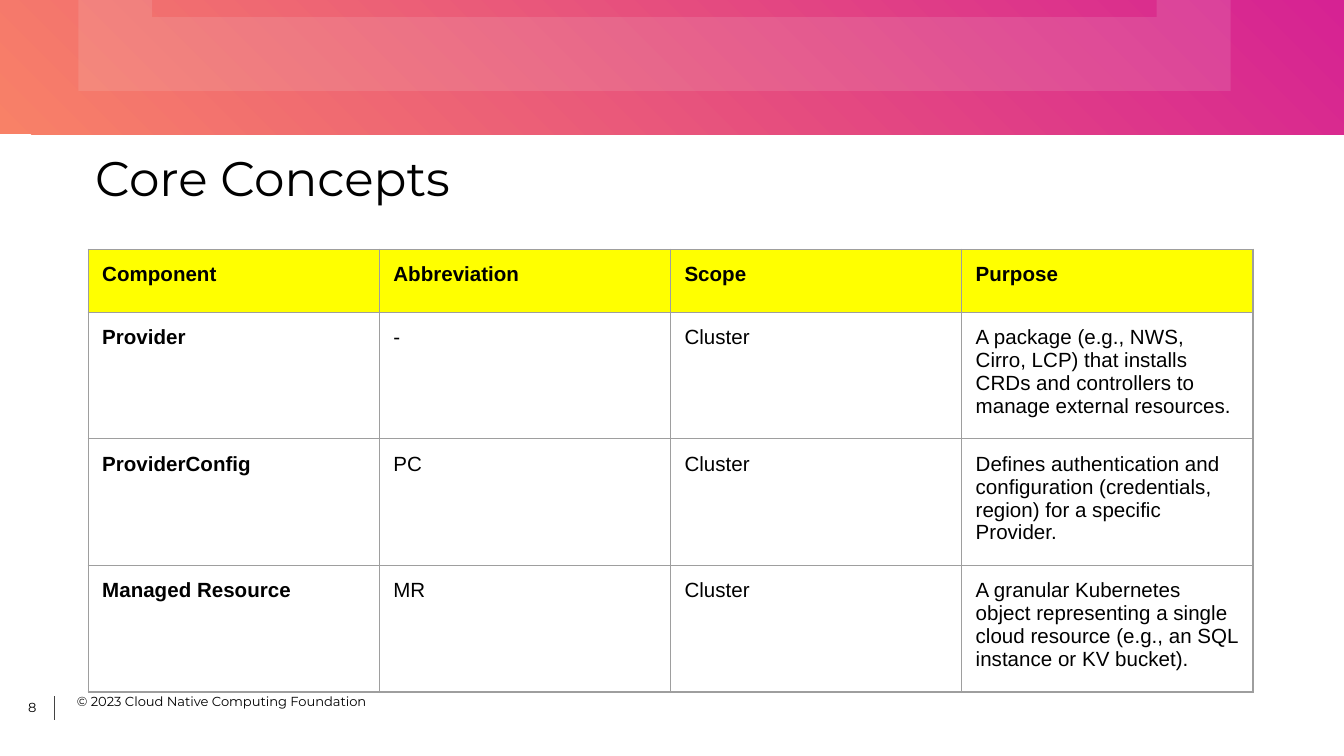
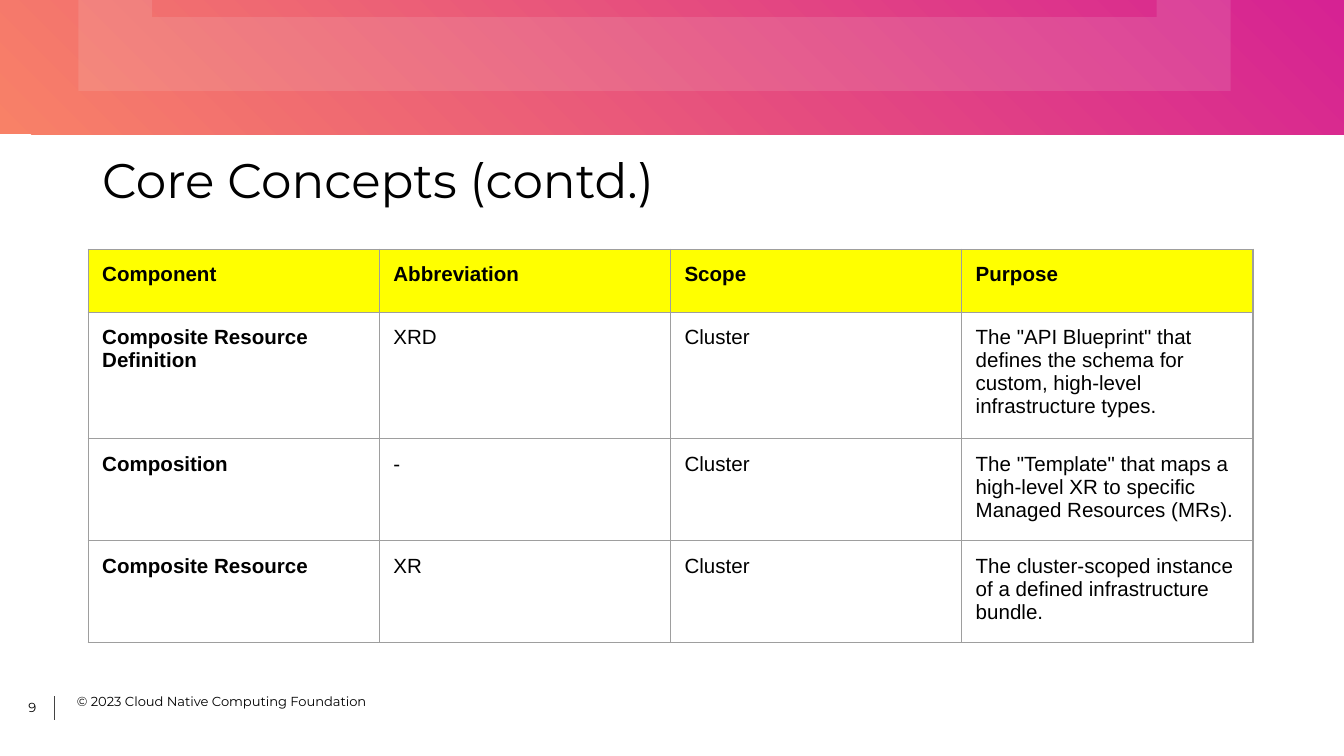
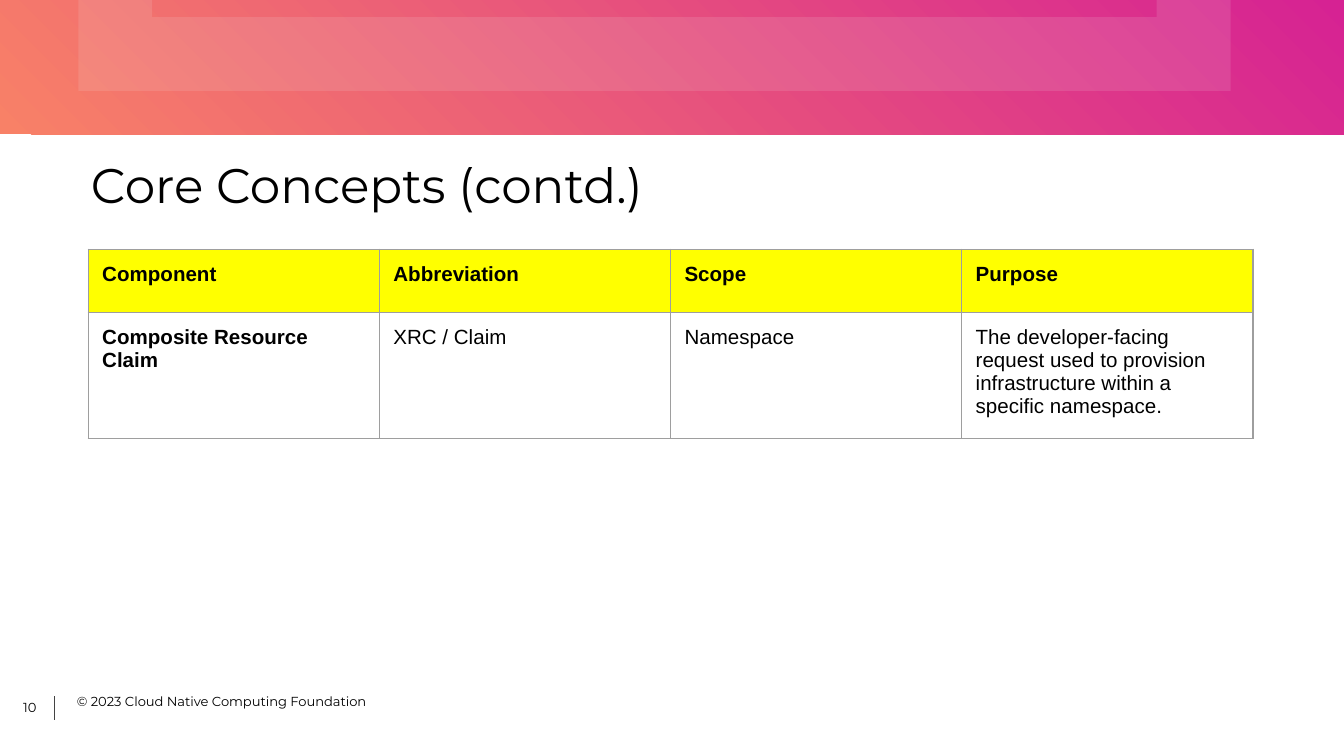
from dataclasses import dataclass

from lxml.etree import SubElement
from pptx import Presentation
from pptx.dml.color import RGBColor
from pptx.enum.shapes import MSO_CONNECTOR, MSO_SHAPE
from pptx.enum.text import MSO_ANCHOR, MSO_AUTO_SIZE, PP_ALIGN
from pptx.oxml import parse_xml
from pptx.oxml.ns import nsdecls, qn
from pptx.slide import Slide
from pptx.table import _Cell
from pptx.text.text import TextFrame
from pptx.util import Emu, Pt

EMU_PER_PX = 9525


def px(length: int) -> Emu:
    return Emu(length * EMU_PER_PX)


@dataclass(frozen=True)
class Theme:
    text: str = "000000"
    band_start: str = "D62293"
    band_end: str = "F88167"
    frame: str = "EEEEEE"
    frame_opacity: int = 13
    divider: str = "434343"
    header_fill: str = "FFFF00"
    grid: str = "9E9E9E"
    heading_font: str = "Montserrat"
    table_font: str = "Arial"
    title_size: int = 26
    table_size: int = 11
    footer_size: int = 7
    line_width: float = 0.75
    inset: int = 10


@dataclass(frozen=True)
class Box:
    left: int
    top: int
    width: int
    height: int

    def emu(self) -> tuple[Emu, Emu, Emu, Emu]:
        return px(self.left), px(self.top), px(self.width), px(self.height)


@dataclass(frozen=True)
class Concept:
    component: str
    abbreviation: str
    scope: str
    purpose: str

    def cells(self) -> tuple[str, ...]:
        return self.component, self.abbreviation, self.scope, self.purpose


@dataclass(frozen=True)
class ConceptSlide:
    number: int
    title: str
    title_left: int
    title_top: int
    concepts: tuple[Concept, ...]


THEME = Theme()
SLIDE_WIDTH, SLIDE_HEIGHT = 960, 540
BAND = Box(0, 0, SLIDE_WIDTH, 96)
BAND_FRAME = Box(56, -357, 823, 422)
COPYRIGHT = Box(45, 490, 315, 31)
PAGE_NUMBER = Box(-19, 485, 55, 41)
DIVIDER_X, DIVIDER_TOP, DIVIDER_BOTTOM = 39, 497, 514
TITLE_WIDTH, TITLE_HEIGHT = 865, 72
TABLE_LEFT, TABLE_TOP = 63, 178
COLUMN_WIDTH, HEADER_HEIGHT, ROW_HEIGHT = 208, 45, 43

HEADER = Concept("Component", "Abbreviation", "Scope", "Purpose")
SLIDES = (
    ConceptSlide(8, "Core Concepts", 58, 96, (
        Concept("Provider", "-", "Cluster",
                "A package (e.g., NWS, Cirro, LCP) that installs CRDs and "
                "controllers to manage external resources."),
        Concept("ProviderConfig", "PC", "Cluster",
                "Defines authentication and configuration (credentials, "
                "region) for a specific Provider."),
        Concept("Managed Resource", "MR", "Cluster",
                "A granular Kubernetes object representing a single cloud "
                "resource (e.g., an SQL instance or KV bucket)."),
    )),
    ConceptSlide(9, "Core Concepts (contd.)", 63, 97, (
        Concept("Composite Resource Definition", "XRD", "Cluster",
                'The "API Blueprint" that defines the schema for custom, '
                "high-level infrastructure types."),
        Concept("Composition", "-", "Cluster",
                'The "Template" that maps a high-level XR to specific '
                "Managed Resources (MRs)."),
        Concept("Composite Resource", "XR", "Cluster",
                "The cluster-scoped instance of a defined infrastructure "
                "bundle."),
    )),
    ConceptSlide(10, "Core Concepts (contd.)", 55, 101, (
        Concept("Composite Resource Claim", "XRC / Claim", "Namespace",
                "The developer-facing request used to provision "
                "infrastructure within a specific namespace."),
    )),
)


def rgb(color: str) -> RGBColor:
    return RGBColor.from_string(color)


def write(frame: TextFrame, text: str, font: str, size: int,
          bold: bool = False) -> None:
    frame.word_wrap = True
    paragraph = frame.paragraphs[0]
    paragraph.text = text
    paragraph.font.name = font
    paragraph.font.size = Pt(size)
    paragraph.font.bold = bold
    paragraph.font.color.rgb = rgb(THEME.text)


def add_text(slide: Slide, box: Box, text: str, size: int) -> TextFrame:
    frame = slide.shapes.add_textbox(*box.emu()).text_frame
    frame.margin_left = frame.margin_right = px(THEME.inset)
    frame.margin_top = frame.margin_bottom = px(THEME.inset)
    write(frame, text, THEME.heading_font, size)
    return frame


def add_band(slide: Slide) -> None:
    # Radial gradient spreading from the top right corner
    band = slide.shapes.add_shape(MSO_SHAPE.RECTANGLE, *BAND.emu())
    band.shadow.inherit = False
    band.line.fill.background()
    band.fill.gradient()
    for stop, color in zip(band.fill.gradient_stops,
                           (THEME.band_start, THEME.band_end)):
        stop.color.rgb = rgb(color)
    gradient = band.element.spPr.find(qn("a:gradFill"))
    gradient.replace(gradient.find(qn("a:lin")), parse_xml(
        f'<a:path {nsdecls("a")} path="circle">'
        '<a:fillToRect l="100000" t="0" r="0" b="100000"/></a:path>'))


def add_band_frame(slide: Slide) -> None:
    # Translucent frame hanging from above the slide
    frame = slide.shapes.add_shape(MSO_SHAPE.FRAME, *BAND_FRAME.emu())
    frame.adjustments[0] = 0.125
    frame.shadow.inherit = False
    frame.line.fill.background()
    frame.fill.solid()
    frame.fill.fore_color.rgb = rgb(THEME.frame)
    color = frame.element.spPr.find(qn("a:solidFill")).find(qn("a:srgbClr"))
    SubElement(color, qn("a:alpha"), val=str(THEME.frame_opacity * 1000))


def add_footer(slide: Slide, number: int) -> None:
    copyright_line = add_text(slide, COPYRIGHT,
                              "© 2023 Cloud Native Computing Foundation",
                              THEME.footer_size)
    copyright_line.auto_size = MSO_AUTO_SIZE.SHAPE_TO_FIT_TEXT

    divider = slide.shapes.add_connector(
        MSO_CONNECTOR.STRAIGHT, px(DIVIDER_X), px(DIVIDER_BOTTOM),
        px(DIVIDER_X), px(DIVIDER_TOP))
    divider.line.color.rgb = rgb(THEME.divider)
    divider.line.width = Pt(THEME.line_width)
    SubElement(divider.element.spPr, qn("a:effectLst"))

    page_number = add_text(slide, PAGE_NUMBER, str(number), THEME.footer_size)
    page_number.vertical_anchor = MSO_ANCHOR.MIDDLE
    page_number.paragraphs[0].alignment = PP_ALIGN.RIGHT


def add_borders(cell: _Cell) -> None:
    properties = cell._tc.get_or_add_tcPr()
    for side in ("lnL", "lnR", "lnT", "lnB"):
        properties.append(parse_xml(
            f'<a:{side} {nsdecls("a")} w="{Pt(THEME.line_width)}">'
            f'<a:solidFill><a:srgbClr val="{THEME.grid}"/></a:solidFill>'
            f'</a:{side}>'))


def add_concept_table(slide: Slide, concepts: tuple[Concept, ...]) -> None:
    rows = (HEADER, *concepts)
    column_count = len(HEADER.cells())
    area = Box(TABLE_LEFT, TABLE_TOP, COLUMN_WIDTH * column_count,
               HEADER_HEIGHT + ROW_HEIGHT * len(concepts))
    table = slide.shapes.add_table(len(rows), column_count, *area.emu()).table
    table.first_row = table.horz_banding = False

    for row_index, concept in enumerate(rows):
        is_header = row_index == 0
        table.rows[row_index].height = px(
            HEADER_HEIGHT if is_header else ROW_HEIGHT)
        for column_index, text in enumerate(concept.cells()):
            cell = table.cell(row_index, column_index)
            cell.margin_left = cell.margin_right = px(THEME.inset)
            cell.margin_top = cell.margin_bottom = px(THEME.inset)
            add_borders(cell)
            if is_header:
                cell.fill.solid()
                cell.fill.fore_color.rgb = rgb(THEME.header_fill)
            else:
                cell.fill.background()
            write(cell.text_frame, text, THEME.table_font, THEME.table_size,
                  bold=is_header or column_index == 0)


def main() -> None:
    deck = Presentation()
    deck.slide_width, deck.slide_height = px(SLIDE_WIDTH), px(SLIDE_HEIGHT)
    blank_layout = deck.slide_layouts[6]

    for content in SLIDES:
        slide = deck.slides.add_slide(blank_layout)
        # Shared parts
        add_band(slide)
        add_footer(slide, content.number)
        add_band_frame(slide)
        # Content
        title_box = Box(content.title_left, content.title_top,
                        TITLE_WIDTH, TITLE_HEIGHT)
        add_text(slide, title_box, content.title, THEME.title_size)
        add_concept_table(slide, content.concepts)

    deck.save("out.pptx")


if __name__ == "__main__":
    main()
